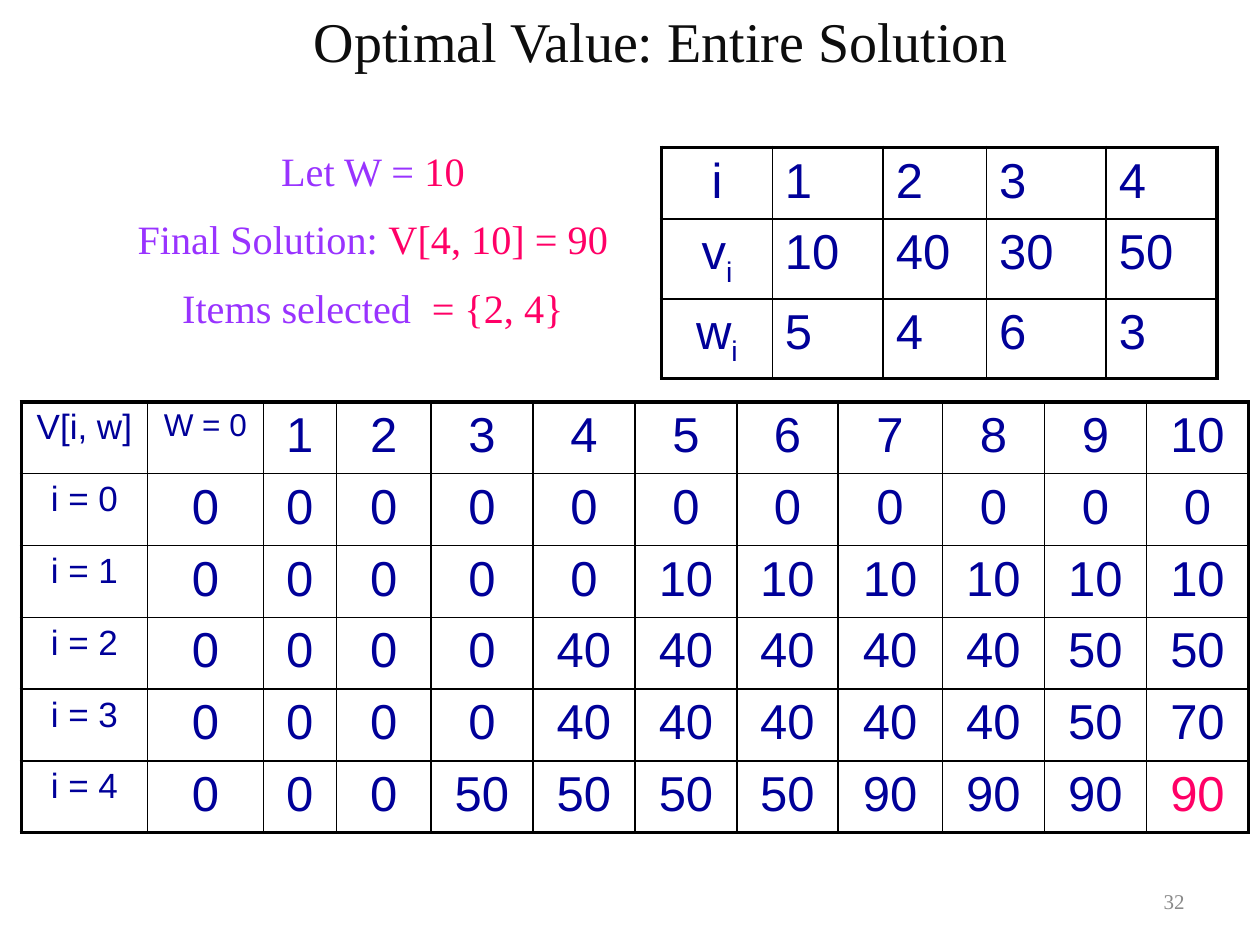
from dataclasses import dataclass
from typing import Any

from lxml.etree import SubElement
from pptx import Presentation
from pptx.dml.color import RGBColor
from pptx.enum.text import MSO_ANCHOR as Anchor, MSO_AUTO_SIZE as AutoSize, PP_ALIGN as Align
from pptx.oxml.ns import qn
from pptx.util import Inches, Pt

NAVY = RGBColor(0x00, 0x00, 0x99)
PINK = RGBColor(0xFF, 0x00, 0x66)
PURPLE = RGBColor(0x99, 0x33, 0xFF)
INK = RGBColor(0x0D, 0x0D, 0x0D)
GRAY = RGBColor(0x89, 0x89, 0x89)
SERIF, SANS = "Times New Roman", "Arial"
THIN, THICK = 1, 2.25


@dataclass
class Piece:
    """A run of text with its look."""
    text: str
    size: float
    color: RGBColor
    font: str = SERIF
    subscript: bool = False


@dataclass
class Grid:
    """A table: place, column widths and the pieces of each cell."""
    left: float
    top: float
    widths: list[float]
    rows: list[list[list[Piece]]]
    centered_columns: int


def apply_format(target: Any, values: dict[str, Any]) -> None:
    """Set every attribute in values on the target."""
    for name, value in values.items():
        setattr(target, name, value)


def fill_paragraph(paragraph: Any, pieces: list[Piece], align: Align,
                   before: int = 0, hanging: bool = False) -> None:
    """Write pieces, with space before in percent and an optional hanging indent."""
    paragraph.alignment = align
    properties = paragraph._p.get_or_add_pPr()
    if hanging:
        properties.set("marL", str(Inches(1.08)))
        properties.set("indent", str(Inches(-0.58)))
    spacing = SubElement(properties, qn("a:spcBef"))
    SubElement(spacing, qn("a:spcPct"), val=str(before * 1000))
    SubElement(properties, qn("a:buNone"))
    for piece in pieces:
        run = paragraph.add_run()
        run.text = piece.text
        apply_format(run.font, {"size": Pt(piece.size), "name": piece.font, "bold": False})
        run.font.color.rgb = piece.color
        if piece.subscript:
            run._r.get_or_add_rPr().set("baseline", "-25000")


def fill_box(shape: Any, box: tuple[float, float, float, float], lines: list[list[Piece]],
             frame_format: dict[str, Any], **paragraph_format: Any) -> None:
    """Place a text shape and write one paragraph for each line."""
    apply_format(shape, dict(zip(("left", "top", "width", "height"), map(Inches, box))))
    frame = shape.text_frame
    apply_format(frame, {"word_wrap": True, **frame_format})
    for index, line in enumerate(lines):
        paragraph = frame.add_paragraph() if index else frame.paragraphs[0]
        fill_paragraph(paragraph, line, **paragraph_format)


def draw_borders(cell: Any, widths: dict[str, float]) -> None:
    """Give the sides of a cell black lines of the given widths."""
    properties = cell._tc.get_or_add_tcPr()
    for side, width in widths.items():
        line = SubElement(properties, qn(f"a:ln{side}"), w=str(Pt(width)))
        fill = SubElement(line, qn("a:solidFill"))
        SubElement(fill, qn("a:srgbClr"), val="000000")


def draw_grid(slide: Any, grid: Grid) -> None:
    """Add a table with thin inner lines and a thick frame."""
    row_count, column_count, row_height = len(grid.rows), len(grid.widths), 0.57
    table = slide.shapes.add_table(
        row_count, column_count, Inches(grid.left), Inches(grid.top),
        Inches(sum(grid.widths)), Inches(row_height * row_count)).table
    apply_format(table, {"first_row": False, "horz_banding": False})
    for column, width in zip(table.columns, grid.widths):
        column.width = Inches(width)
    for r, row in enumerate(grid.rows):
        table.rows[r].height = Inches(row_height)
        for c, pieces in enumerate(row):
            cell = table.cell(r, c)
            align = Align.CENTER if c < grid.centered_columns else Align.LEFT
            fill_paragraph(cell.text_frame.paragraphs[0], pieces, align, before=20)
            outer = {"L": c == 0, "R": c == column_count - 1,
                     "T": r == 0, "B": r == row_count - 1}
            draw_borders(cell, {side: THICK if edge else THIN for side, edge in outer.items()})
            cell.fill.background()


def cell_text(text: Any, size: float = 28, color: RGBColor = NAVY) -> list[Piece]:
    """Return the content of a plain table cell."""
    return [Piece(str(text), size, color, SANS)]


def item_label(letter: str) -> list[Piece]:
    """Return a letter with the subscript i."""
    return cell_text(letter) + [Piece("i", 28, NAVY, SANS, subscript=True)]


def item_grid() -> Grid:
    """Return the table of item values and weights."""
    labels = [cell_text("i"), item_label("v"), item_label("w")]
    numbers = [[1, 2, 3, 4], [10, 40, 30, 50], [5, 4, 6, 3]]
    rows = [[label, *map(cell_text, line)] for label, line in zip(labels, numbers)]
    return Grid(5.25, 1.17, [0.88, 0.88, 0.82, 0.95, 0.88], rows, 1)


def value_grid() -> Grid:
    """Return the table of optimal values for each capacity."""
    values = [
        [0] * 11,
        [0] * 5 + [10] * 6,
        [0] * 4 + [40] * 5 + [50] * 2,
        [0] * 4 + [40] * 5 + [50, 70],
        [0] * 3 + [50] * 4 + [90] * 4,
    ]
    header = [cell_text("V[i, w]", 20), cell_text("W = 0", 18), *map(cell_text, range(1, 11))]
    rows = [header] + [[cell_text(f"i = {i}", 20), *map(cell_text, line)]
                       for i, line in enumerate(values)]
    rows[-1][-1] = cell_text(90, color=PINK)
    widths = [1, 0.92, 0.58, 0.75, 0.81, 0.81, 0.81, 0.8, 0.83, 0.81, 0.81, 0.81]
    return Grid(0.17, 3.19, widths, rows, len(widths))


def main() -> None:
    """Build and save the slide."""
    presentation = Presentation()
    apply_format(presentation, {"slide_width": Inches(10), "slide_height": Inches(7.5)})
    slide = presentation.slides.add_slide(presentation.slide_layouts[1])
    growing = {"auto_size": AutoSize.SHAPE_TO_FIT_TEXT, "vertical_anchor": Anchor.TOP}
    fill_box(slide.shapes.title, (0, 0, 10, 0.63),
             [[Piece("Optimal Value: Entire Solution", 32, INK)]],
             growing, align=Align.CENTER, before=20, hanging=True)
    results = [("Let W = ", "10"), ("Final Solution: ", "V[4, 10] = 90"),
               ("Items selected  ", "= {2, 4}")]
    fill_box(slide.placeholders[1], (0.25, 1.11, 4.92, 1.64),
             [[Piece(label, 23, PURPLE), Piece(result, 23, PINK)] for label, result in results],
             growing, align=Align.CENTER, before=50, hanging=True)
    draw_grid(slide, item_grid())
    draw_grid(slide, value_grid())
    number_box = slide.shapes.add_textbox(0, 0, 0, 0)
    fill_box(number_box, (7.17, 6.95, 2.33, 0.4), [[Piece("32", 12, GRAY)]],
             {"vertical_anchor": Anchor.MIDDLE}, align=Align.RIGHT)
    presentation.save("out.pptx")


main()
